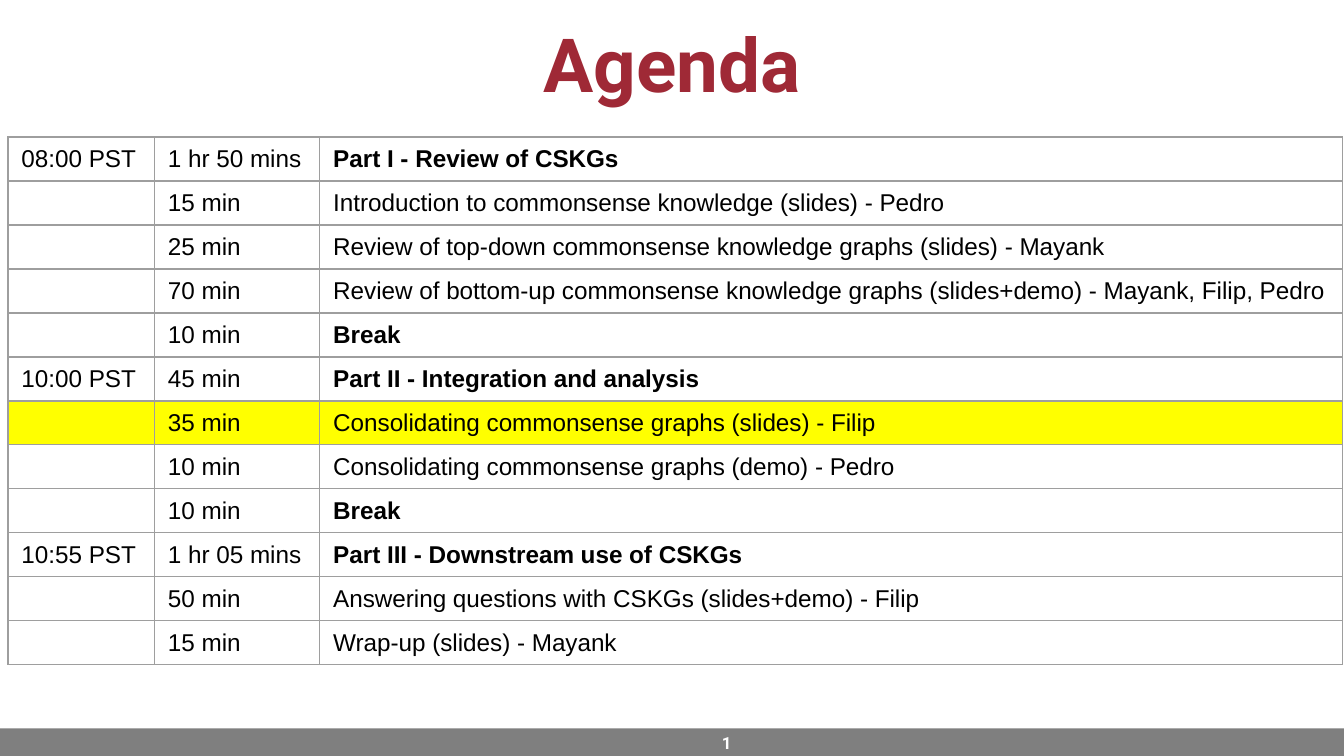
from lxml.etree import SubElement
from pptx import Presentation
from pptx.dml.color import RGBColor
from pptx.enum.shapes import MSO_SHAPE
from pptx.enum.text import MSO_ANCHOR, PP_ALIGN
from pptx.oxml.ns import qn
from pptx.util import Inches, Pt

RED = RGBColor(0x9F, 0x29, 0x36)
GRAY = RGBColor(0x7F, 0x7F, 0x7F)
BORDER = RGBColor(0x9E, 0x9E, 0x9E)
YELLOW = RGBColor(0xFF, 0xFF, 0x00)
WHITE = RGBColor(0xFF, 0xFF, 0xFF)
BLACK = RGBColor(0x00, 0x00, 0x00)

COLUMN_WIDTHS = (1.09, 1.23, 7.61)
TABLE_HEIGHT = 3.93
CURRENT_ITEM = 6
AGENDA = [
    ("08:00 PST", "1 hr 50 mins", "Part I - Review of CSKGs"),
    ("", "15 min", "Introduction to commonsense knowledge (slides) - Pedro"),
    ("", "25 min", "Review of top-down commonsense knowledge graphs (slides) - Mayank"),
    ("", "70 min", "Review of bottom-up commonsense knowledge graphs (slides+demo) - Mayank, Filip, Pedro"),
    ("", "10 min", "Break"),
    ("10:00 PST", "45 min", "Part II - Integration and analysis"),
    ("", "35 min", "Consolidating commonsense graphs (slides) - Filip"),
    ("", "10 min", "Consolidating commonsense graphs (demo) - Pedro"),
    ("", "10 min", "Break"),
    ("10:55 PST", "1 hr 05 mins", "Part III - Downstream use of CSKGs"),
    ("", "50 min", "Answering questions with CSKGs (slides+demo) - Filip"),
    ("", "15 min", "Wrap-up (slides) - Mayank"),
]


def add_run(paragraph, text, font_name, size, color, bold):
    """Append one formatted run to a paragraph."""
    run = paragraph.add_run()
    run.text = text
    run.font.name = font_name
    run.font.size = Pt(size)
    run.font.bold = bold
    run.font.color.rgb = color


def add_label(slide, text, left, top, width, height, size, color, align):
    """Add a bold, vertically centred Roboto text box."""
    label = slide.shapes.add_textbox(Inches(left), Inches(top), Inches(width), Inches(height))
    frame = label.text_frame
    frame.word_wrap = True
    frame.vertical_anchor = MSO_ANCHOR.MIDDLE
    frame.paragraphs[0].alignment = align
    add_run(frame.paragraphs[0], text, "Roboto", size, color, True)


def add_footer_bar(slide):
    """Add the gray bar along the bottom edge."""
    bar = slide.shapes.add_shape(MSO_SHAPE.RECTANGLE, 0, Inches(5.42), Inches(10), Inches(0.22))
    bar.shadow.inherit = False
    bar.fill.solid()
    bar.fill.fore_color.rgb = GRAY
    bar.line.fill.background()


def add_borders(cell):
    """Draw a thin gray line on all four sides of a cell."""
    properties = cell._tc.get_or_add_tcPr()
    for side in ("a:lnL", "a:lnR", "a:lnT", "a:lnB"):
        line = SubElement(properties, qn(side), w=str(Pt(0.75)))
        fill = SubElement(line, qn("a:solidFill"))
        SubElement(fill, qn("a:srgbClr"), val=str(BORDER))


def fill_cell(cell, text, bold, highlighted):
    """Set the text, margins, borders and background of a cell."""
    cell.vertical_anchor = MSO_ANCHOR.MIDDLE
    cell.margin_left = cell.margin_right = Inches(0.1)
    cell.margin_top = cell.margin_bottom = 0
    add_borders(cell)
    if highlighted:
        cell.fill.solid()
        cell.fill.fore_color.rgb = YELLOW
    else:
        cell.fill.background()
    paragraph = cell.text_frame.paragraphs[0]
    paragraph.font.size = Pt(13)
    if text:
        add_run(paragraph, text, "Arial", 13, BLACK, bold)


def add_agenda_table(slide):
    """Add the schedule with bold parts and breaks."""
    schedule = slide.shapes.add_table(
        len(AGENDA), len(COLUMN_WIDTHS), Inches(0.06), Inches(1.02),
        Inches(sum(COLUMN_WIDTHS)), Inches(TABLE_HEIGHT)).table
    schedule.first_row = False
    schedule.horz_banding = False
    for column, width in zip(schedule.columns, COLUMN_WIDTHS):
        column.width = Inches(width)
    for index, (row, entry) in enumerate(zip(schedule.rows, AGENDA)):
        row.height = Inches(TABLE_HEIGHT / len(AGENDA))
        is_heading = entry[2].startswith(("Part ", "Break"))
        for position, (cell, text) in enumerate(zip(row.cells, entry)):
            fill_cell(cell, text, is_heading and position == 2, index == CURRENT_ITEM)


def main():
    """Build and save the agenda slide."""
    presentation = Presentation()
    presentation.slide_width = Inches(10)
    presentation.slide_height = Inches(10 * 9 / 16)
    slide = presentation.slides.add_slide(presentation.slide_layouts[6])
    add_footer_bar(slide)
    add_label(slide, "Agenda", 0, 0, 10, 0.93, 40, RED, PP_ALIGN.CENTER)
    add_label(slide, "1", 5.09, 5.38, 0.45, 0.3, 9, WHITE, PP_ALIGN.RIGHT)
    add_agenda_table(slide)
    presentation.save("out.pptx")


if __name__ == "__main__":
    main()
